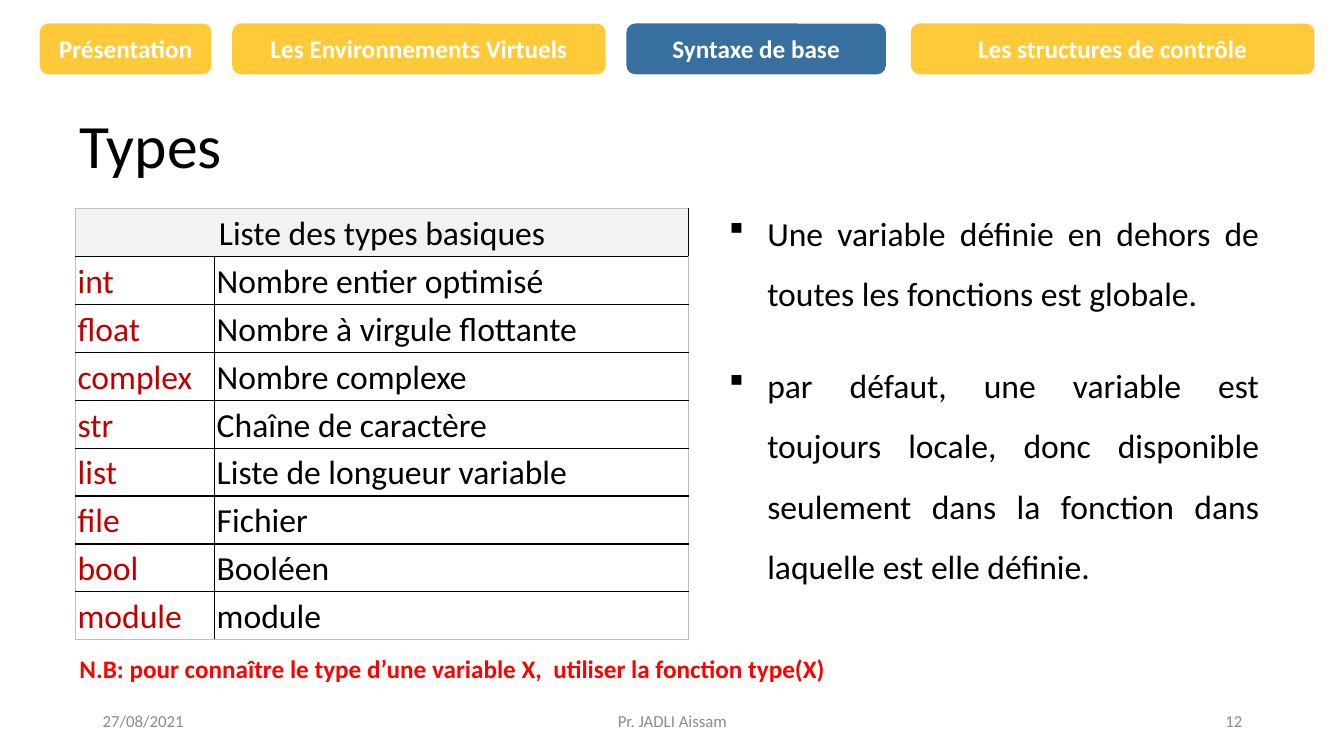
"""Builds a course slide on the basic Python types and variable scope."""
from lxml import etree
from pptx import Presentation
from pptx.dml.color import RGBColor
from pptx.enum.shapes import MSO_SHAPE
from pptx.enum.text import MSO_ANCHOR, MSO_AUTO_SIZE, PP_ALIGN
from pptx.oxml.ns import qn
from pptx.util import Inches, Pt

LEFT, CENTER, RIGHT, JUSTIFY = PP_ALIGN.LEFT, PP_ALIGN.CENTER, PP_ALIGN.RIGHT, PP_ALIGN.JUSTIFY
MIDDLE, TOP = MSO_ANCHOR.MIDDLE, MSO_ANCHOR.TOP
NO_AUTOFIT = MSO_AUTO_SIZE.NONE
ROUNDED = MSO_SHAPE.ROUNDED_RECTANGLE
YELLOW, BLUE, BLACK, WHITE = "FFCA39", "37709F", "000000", "FFFFFF"
DARK_RED, RED, GREY = "C00000", "FF0000", "8C8C8C"
HEADER_FILL, OUTER_BORDER = "F2F2F2", "BFBFBF"


def color(value):
    return RGBColor.from_string(value)


def format_text(frame, size, value, align=LEFT, anchor=MIDDLE, spacing=1.0, bold=False):
    frame.word_wrap = True
    frame.vertical_anchor = anchor
    for para in frame.paragraphs:
        para.alignment = align
        para.line_spacing = spacing
        para.space_before = Pt(0)
        for span in para.runs:
            span.font.name = "Calibri"
            span.font.size = Pt(size)
            span.font.bold = bold
            span.font.color.rgb = color(value)


deck = Presentation()
deck.slide_width, deck.slide_height = Inches(13.33), Inches(7.5)
slide = deck.slides.add_slide(deck.slide_layouts[1])
title, body = slide.placeholders

title.left, title.top, title.width, title.height = (Inches(n) for n in (0.69, 1.01, 12.07, 0.93))
title.text_frame.text = "Types"
title.text_frame.auto_size = NO_AUTOFIT
format_text(title.text_frame, 44, BLACK, spacing=0.9)

for text, left, width, fill in (
    ("Présentation", 0.4, 1.69, YELLOW),
    ("Les Environnements Virtuels", 2.31, 3.69, YELLOW),
    ("Syntaxe de base", 6.22, 2.56, BLUE),
    ("Les structures de contrôle", 9.04, 3.99, YELLOW),
):
    tab = slide.shapes.add_shape(ROUNDED, Inches(left), Inches(0.24), Inches(width), Inches(0.49))
    tab.shadow.inherit = False
    tab.fill.solid()
    tab.fill.fore_color.rgb = color(fill)
    tab.line.color.rgb = color(fill)
    tab.line.width = Pt(1)
    tab.text_frame.text = text
    format_text(tab.text_frame, 18, WHITE, CENTER, bold=True)

types = [
    ("Liste des types basiques", ""),
    ("int", "Nombre entier optimisé"),
    ("float", "Nombre à virgule flottante"),
    ("complex", "Nombre complexe"),
    ("str", "Chaîne de caractère"),
    ("list", "Liste de longueur variable"),
    ("file", "Fichier"),
    ("bool", "Booléen"),
    ("module", "module"),
]
last_row = len(types) - 1
table = slide.shapes.add_table(
    len(types), 2, Inches(0.75), Inches(2.07), Inches(6.08), Inches(4.28)
).table
table.columns[0].width, table.columns[1].width = Inches(1.38), Inches(4.7)
table.cell(0, 0).merge(table.cell(0, 1))
for row, texts in enumerate(types):
    for column, text in enumerate(texts):
        cell = table.cell(row, column)
        cell.margin_left = cell.margin_right = Inches(0.02)
        cell.margin_top = cell.margin_bottom = Inches(0.02)
        cell.vertical_anchor = MIDDLE
        cell.fill.solid()
        cell.fill.fore_color.rgb = color(WHITE if row else HEADER_FILL)
        cell.text_frame.text = text
        value = DARK_RED if row and column == 0 else BLACK
        format_text(cell.text_frame, 24, value, LEFT if row else CENTER, spacing=1.07)
        outer_sides = {
            "L": column == 0, "R": column == 1, "T": row == 0, "B": row == last_row,
        }
        properties = cell._tc.get_or_add_tcPr()
        for index, (side, is_outer) in enumerate(outer_sides.items()):
            border = etree.Element(qn("a:ln" + side), w=str(Pt(0.75 if is_outer else 1)))
            solid = etree.SubElement(border, qn("a:solidFill"))
            etree.SubElement(solid, qn("a:srgbClr"), val=OUTER_BORDER if is_outer else BLACK)
            properties.insert(index, border)

body.left, body.top, body.width, body.height = (Inches(n) for n in (7.13, 1.86, 5.46, 3.98))
body.text_frame.text = (
    "Une variable définie en dehors de toutes les fonctions est globale.\n"
    "par défaut, une variable est toujours locale, donc disponible seulement "
    "dans la fonction dans laquelle est elle définie."
)
body.text_frame.auto_size = NO_AUTOFIT
format_text(body.text_frame, 24, BLACK, JUSTIFY, TOP, 1.5)
body.text_frame.paragraphs[1].space_before = Pt(22)
for para in body.text_frame.paragraphs:
    properties = para._p.get_or_add_pPr()
    properties.set("marL", str(Inches(0.38)))
    properties.set("indent", str(Inches(-0.38)))
    etree.SubElement(properties, qn("a:buFont"), typeface="Wingdings")
    etree.SubElement(properties, qn("a:buChar"), char="§")

note = "N.B: pour connaître le type d’une variable X,  utiliser la fonction type(X)"
for text, left, top, width, height, size, value, align, anchor, spacing, bold in (
    (note, 0.69, 6.28, 12.07, 0.51, 18, RED, JUSTIFY, TOP, 1.5, True),
    ("27/08/2021", 0.92, 6.95, 3, 0.4, 12, GREY, LEFT, MIDDLE, 1.0, False),
    ("Pr. JADLI Aissam", 4.42, 6.95, 4.5, 0.4, 12, GREY, CENTER, MIDDLE, 1.0, False),
    ("12", 9.42, 6.95, 3, 0.4, 12, GREY, RIGHT, MIDDLE, 1.0, False),
):
    box = slide.shapes.add_textbox(Inches(left), Inches(top), Inches(width), Inches(height))
    box.text_frame.text = text
    format_text(box.text_frame, size, value, align, anchor, spacing, bold)

deck.save("out.pptx")
